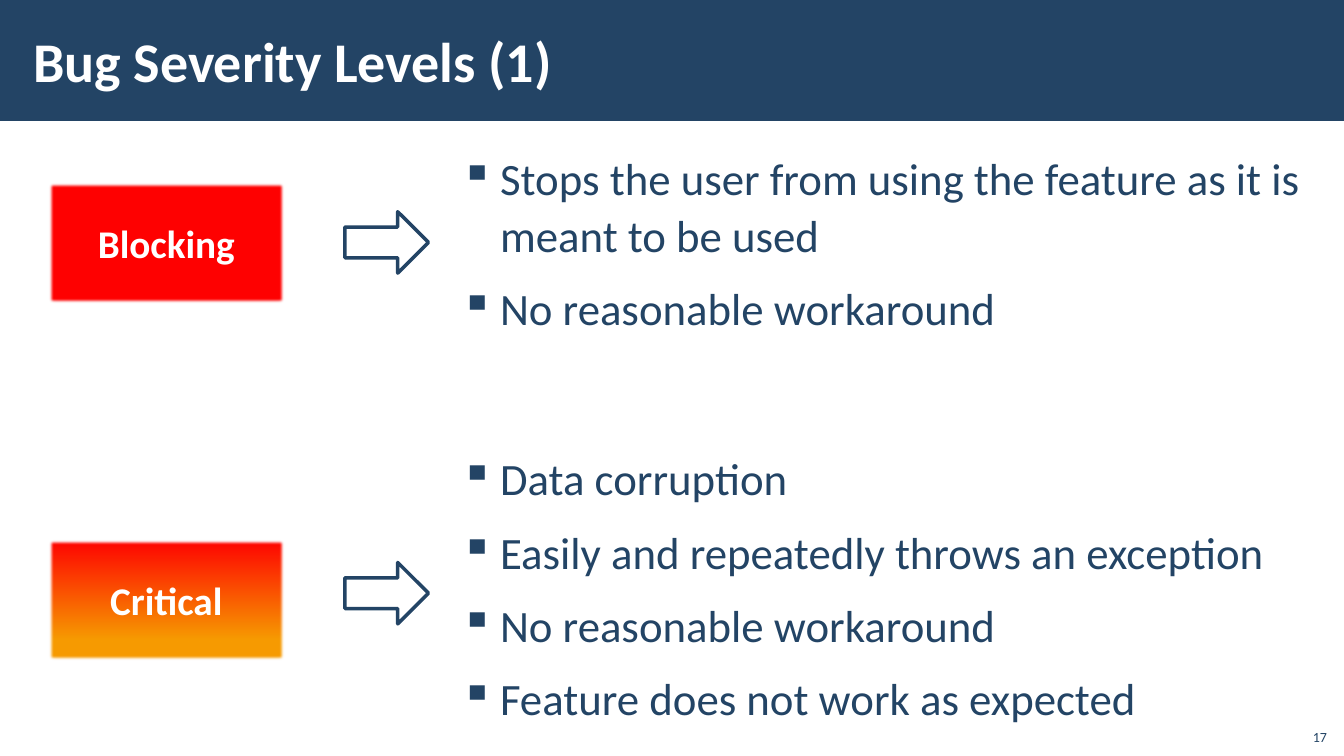
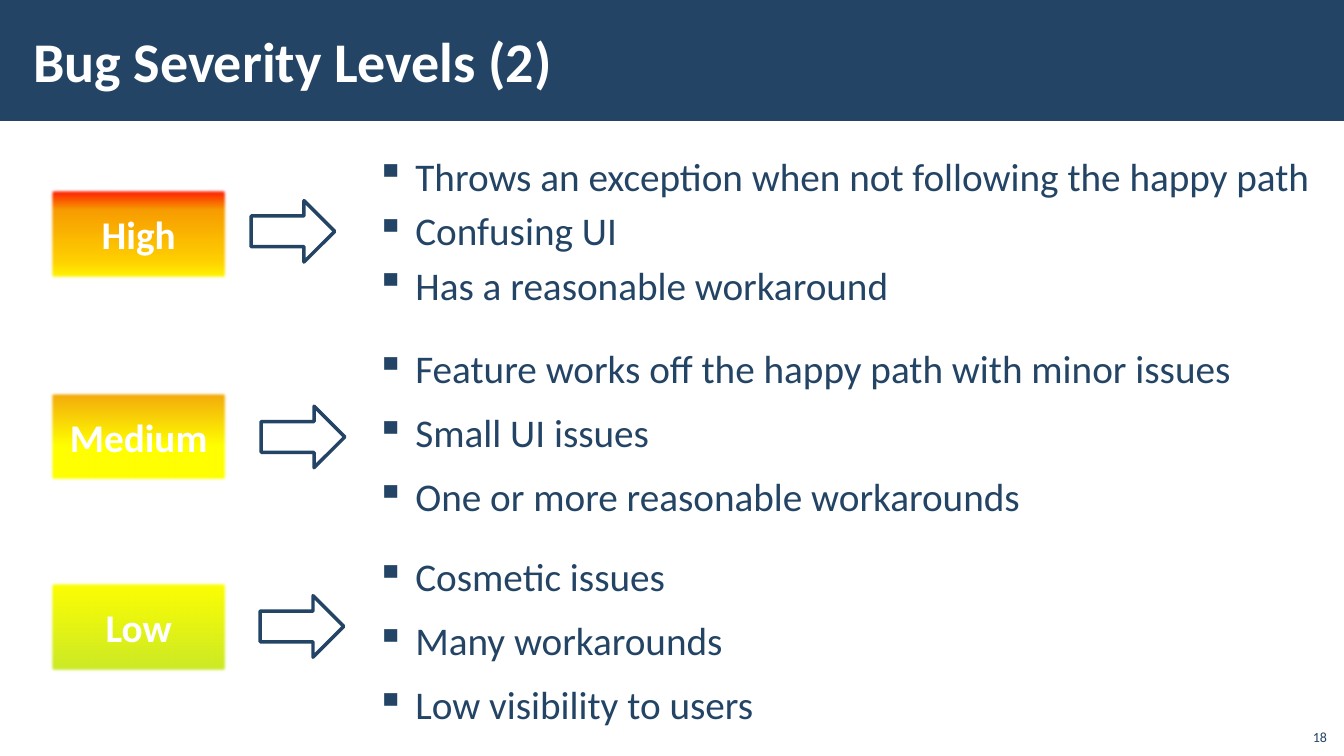
from lxml import etree
from pptx import Presentation
from pptx.dml.color import RGBColor
from pptx.enum import shapes, text
from pptx.oxml import ns
from pptx.util import Inches, Pt

NAVY = RGBColor(0x23, 0x44, 0x65)
WHITE = RGBColor(0xFF, 0xFF, 0xFF)
RED = RGBColor(0xFF, 0x00, 0x00)
ORANGE = RGBColor(0xF7, 0x9B, 0x00)
AMBER = RGBColor(0xF2, 0xA4, 0x0D)
GOLD = RGBColor(0xFF, 0xD2, 0x00)
YELLOW = RGBColor(0xFF, 0xFF, 0x00)
LIME = RGBColor(0xC9, 0xE8, 0x28)
FONT = "Calibri"
RECT = shapes.MSO_SHAPE.RECTANGLE
ARROW = shapes.MSO_SHAPE.RIGHT_ARROW
MIDDLE = text.MSO_ANCHOR.MIDDLE


def write(shape, *lines, size=28, color=NAVY, bold=False, align=text.PP_ALIGN.LEFT,
          anchor=text.MSO_ANCHOR.TOP, pad=(0.1, 0.05), bullet=False, space=1.0):
    frame = shape.text_frame
    frame.word_wrap = True
    frame.vertical_anchor = anchor
    frame.margin_left = frame.margin_right = Inches(pad[0])
    frame.margin_top = frame.margin_bottom = Inches(pad[1])
    for i, line in enumerate(lines):
        para = frame.add_paragraph() if i else frame.paragraphs[0]
        para.alignment = align
        run = para.add_run()
        run.text = line
        run.font.name, run.font.size = FONT, Pt(size)
        run.font.bold, run.font.color.rgb = bold, color
        if bullet:
            para.line_spacing = space
            para.space_before = para.space_after = Pt(6)
            props = para._p.get_or_add_pPr()
            props.set("marL", str(Inches(0.88)))
            props.set("indent", str(Inches(-0.39)))
            etree.SubElement(props, ns.qn("a:buChar"), char="▪")


def draw(slide, kind, left, top, width, height, stops=()):
    """Add a shape filled with one colour, a downward gradient, or nothing."""
    shape = slide.shapes.add_shape(
        kind, Inches(left), Inches(top), Inches(width), Inches(height))
    shape.shadow.inherit = False
    shape.line.fill.background()
    if not stops:
        shape.fill.background()
    elif len(stops) == 1:
        shape.fill.solid()
        shape.fill.fore_color.rgb = stops[0][1]
    else:
        shape.fill.gradient()
        shape.fill.gradient_angle = 270
        items = shape._element.spPr.find(".//" + ns.qn("a:gsLst"))
        for item in list(items):
            items.remove(item)
        for place, color in stops:
            item = etree.SubElement(items, ns.qn("a:gs"), pos=str(place * 1000))
            etree.SubElement(item, ns.qn("a:srgbClr"), val=str(color))
    return shape


# Row: label, badge top, gradient stops, arrow place, text box, line spacing, bullets
LEVELS = [
    dict(title="Bug Severity Levels (1)", badge=(0.47, 2.36, 1.22), size=32, rows=[
        ("Blocking", 1.8, [(0, RED)], (3.42, 2.1), (3.96, 1.43, 9.17, 2.13), 1.05,
         ["Stops the user from using the feature as it is meant to be used",
          "No reasonable workaround"]),
        ("Critical", 5.34, [(0, RED), (82, ORANGE), (100, ORANGE)],
         (3.42, 5.58), (3.96, 4.41, 9.17, 2.93), 1.05,
         ["Data corruption", "Easily and repeatedly throws an exception",
          "No reasonable workaround", "Feature does not work as expected"]),
    ]),
    dict(title="Bug Severity Levels (2)", badge=(0.48, 1.79, 0.92), size=28, rows=[
        ("High", 1.86, [(0, RED), (24, ORANGE), (80, GOLD), (100, YELLOW)],
         (2.49, 1.99), (3.12, 1.56, 10.02, 1.6), 0.8,
         ["Throws an exception when not following the happy path",
          "Confusing UI", "Has a reasonable workaround"]),
        ("Medium", 3.87, [(0, AMBER), (60, YELLOW)],
         (2.59, 4.03), (3.12, 3.38, 9.73, 1.73), 1.0,
         ["Feature works off the happy path with minor issues",
          "Small UI issues", "One or more reasonable workarounds"]),
        ("Low", 5.76, [(0, YELLOW), (100, LIME)],
         (2.58, 5.91), (3.12, 5.44, 8.83, 1.93), 1.0,
         ["Cosmetic issues", "Many workarounds", "Low visibility to users"]),
    ]),
]

deck = Presentation()
deck.slide_width, deck.slide_height = Inches(13.33), Inches(7.5)

for number, level in enumerate(LEVELS, 17):
    slide = deck.slides.add_slide(deck.slide_layouts[6])
    draw(slide, RECT, 0, 0, 13.33, 1.2, [(0, NAVY)])
    title = slide.shapes.add_textbox(
        Inches(0.21), Inches(0.11), Inches(10.63), Inches(0.97))
    write(title, level["title"], size=40, color=WHITE, bold=True,
          anchor=MIDDLE, pad=(0.12, 0.04))

    left, width, height = level["badge"]
    for label, top, stops, point, box, space, lines in level["rows"]:
        badge = draw(slide, RECT, left, top, width, height, stops)
        effects = badge._element.spPr.find(ns.qn("a:effectLst"))
        etree.SubElement(effects, ns.qn("a:softEdge"), rad=str(Pt(2.5)))
        write(badge, label, color=WHITE, bold=True,
              align=text.PP_ALIGN.CENTER, anchor=MIDDLE)

        arrow = draw(slide, ARROW, *point, 0.83, 0.61)
        arrow.line.color.rgb = NAVY
        arrow.line.width = Pt(2.5)

        body = slide.shapes.add_textbox(*[Inches(n) for n in box])
        write(body, *lines, size=level["size"], pad=(0.12, 0.04),
              bullet=True, space=space)

    page = slide.shapes.add_textbox(
        Inches(12.86), Inches(7.12), Inches(0.4), Inches(0.32))
    write(page, str(number), size=10, align=text.PP_ALIGN.RIGHT,
          anchor=text.MSO_ANCHOR.BOTTOM)

deck.save("out.pptx")
